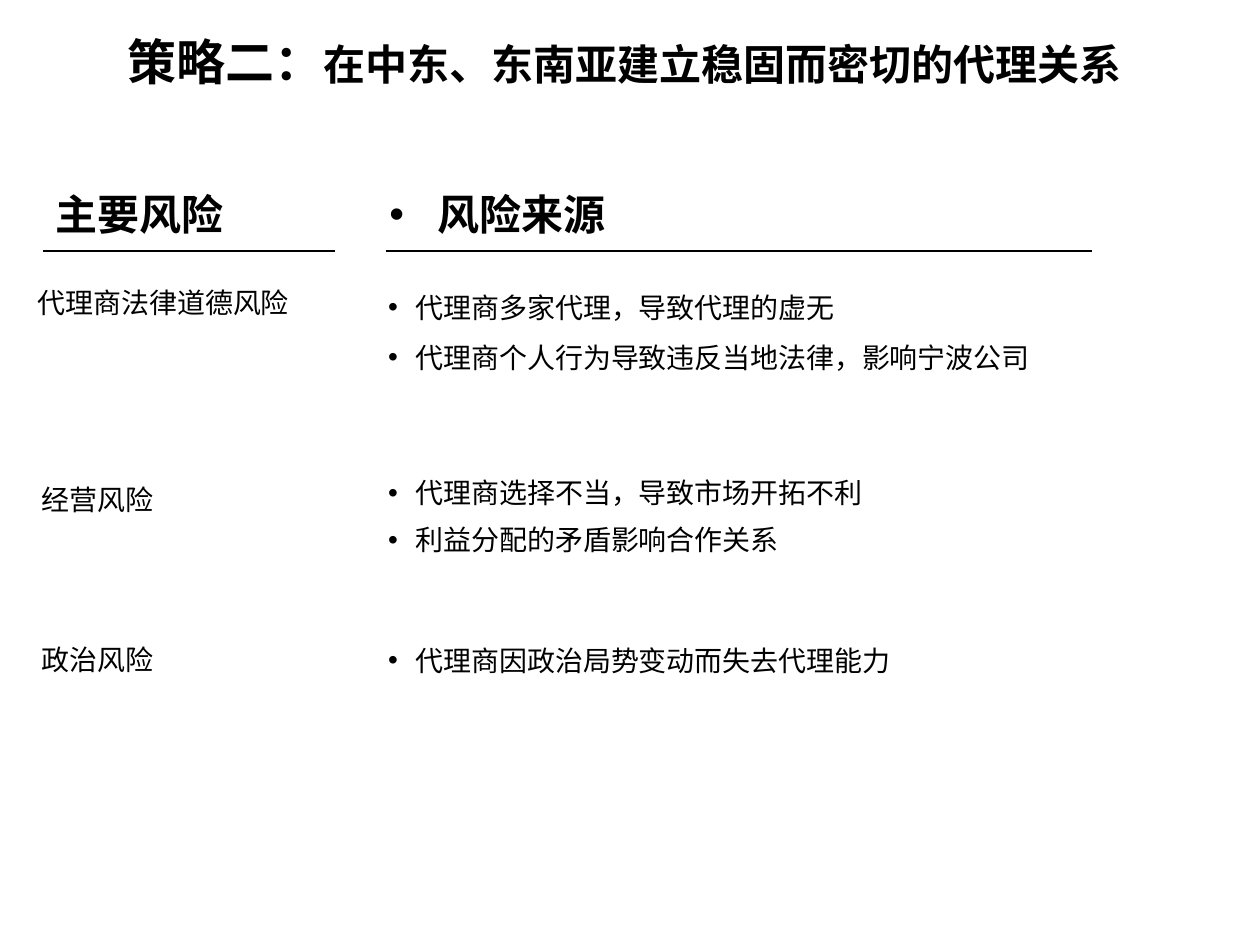
from dataclasses import dataclass

from lxml import etree
from pptx import Presentation
from pptx.dml.color import RGBColor
from pptx.enum import shapes, text
from pptx.oxml.ns import qn
from pptx.util import Inches, Pt


@dataclass(frozen=True)
class Theme:
    ink: RGBColor = RGBColor(0, 0, 0)
    paper: RGBColor = RGBColor(255, 255, 255)
    title_size: int = 28
    heading_size: int = 24
    body_size: int = 16
    rule_width: int = 1
    serif: str = "Times New Roman"
    sans: str = "Arial"
    chinese: str = "Noto Sans CJK SC"


THEME = Theme()

# label, label left, label top, sources top, sources height, line spacing, sources
RISKS = [
    ("代理商法律道德风险", 0.3, 2.27, 2.17, 0.8, 1.5,
     ["代理商多家代理，导致代理的虚无", "代理商个人行为导致违反当地法律，影响宁波公司"]),
    ("经营风险", 0.33, 3.83, 3.67, 0.75, 1.4,
     ["代理商选择不当，导致市场开拓不利", "利益分配的矛盾影响合作关系"]),
    ("政治风险", 0.33, 5.1, 5, 0.37, 1.4,
     ["代理商因政治局势变动而失去代理能力"]),
]


def add_frame(slide, box, **formats):
    frame = slide.shapes.add_textbox(*map(Inches, box)).text_frame
    values = {"word_wrap": True, "margin_left": 0, "margin_right": 0,
              "margin_top": 0, "margin_bottom": 0, **formats}
    for name, value in values.items():
        setattr(frame, name, value)
    return frame


def add_run(paragraph, words, size, face, bold=False):
    run = paragraph.add_run()
    run.text = words
    for name, value in {"size": Pt(size), "bold": bold, "name": face}.items():
        setattr(run.font, name, value)
    run.font.color.rgb = THEME.ink
    east_asian = etree.Element(qn("a:ea"), typeface=THEME.chinese)
    run.font._element.find(qn("a:latin")).addnext(east_asian)


def add_bullet(paragraph, indent):
    """Give the paragraph a round bullet with a hanging indent in inches."""
    properties = paragraph._p.get_or_add_pPr()
    properties.set("marL", str(Inches(indent)))
    properties.set("indent", str(-Inches(indent)))
    etree.SubElement(properties, qn("a:buFont"), typeface=THEME.sans)
    etree.SubElement(properties, qn("a:buChar"), char="•")


def add_title(slide, box):
    frame = add_frame(slide, box, vertical_anchor=text.MSO_ANCHOR.MIDDLE,
                      margin_left=Inches(0.1), margin_right=Inches(0.1))
    paragraph = frame.paragraphs[0]
    paragraph.alignment = text.PP_ALIGN.CENTER
    add_run(paragraph, "策略二：", THEME.title_size, THEME.serif, True)
    add_run(paragraph, "在中东、东南亚建立稳固而密切的代理关系",
            THEME.heading_size, THEME.chinese, True)


def add_heading(slide, box, words, face, rule_left, rule_right, bullet=False):
    """Place a column heading with a rule below it."""
    left, top, width, height = box
    paragraph = add_frame(slide, box).paragraphs[0]
    if bullet:
        add_bullet(paragraph, 0.38)
    add_run(paragraph, words, THEME.heading_size, face, True)
    rule_top = Inches(top + height + 0.09)
    rule = slide.shapes.add_connector(
        shapes.MSO_CONNECTOR.STRAIGHT,
        Inches(rule_left), rule_top, Inches(rule_right), rule_top)
    rule.line.color.rgb = THEME.ink
    rule.line.width = Pt(THEME.rule_width)
    etree.SubElement(rule._element.spPr, qn("a:effectLst"))


def add_label(slide, box, words):
    paragraph = add_frame(slide, box).paragraphs[0]
    add_run(paragraph, words, THEME.body_size, THEME.sans)


def add_sources(slide, box, sources, spacing):
    frame = add_frame(slide, box)
    for index, source in enumerate(sources):
        paragraph = frame.add_paragraph() if index else frame.paragraphs[0]
        add_bullet(paragraph, 0.22)
        paragraph.line_spacing = spacing
        add_run(paragraph, source, THEME.body_size, THEME.sans)


def main():
    presentation = Presentation()
    presentation.slide_width = Inches(10)
    presentation.slide_height = Inches(7.5)
    slide = presentation.slides.add_slide(presentation.slide_layouts[6])
    slide.background.fill.solid()
    slide.background.fill.fore_color.rgb = THEME.paper

    add_title(slide, (0.33, 0.23, 9.25, 0.5))
    add_heading(slide, (0.44, 1.5, 2.03, 0.4), "主要风险", THEME.sans, 0.34, 2.66)
    add_heading(slide, (3.09, 1.5, 2.03, 0.4), "风险来源", THEME.serif,
                3.06, 8.67, bullet=True)
    for label, left, label_top, top, height, spacing, sources in RISKS:
        add_label(slide, (left, label_top, 2.17, 0.27), label)
        add_sources(slide, (3.08, top, 5.83, height), sources, spacing)

    presentation.save("out.pptx")


if __name__ == "__main__":
    main()
